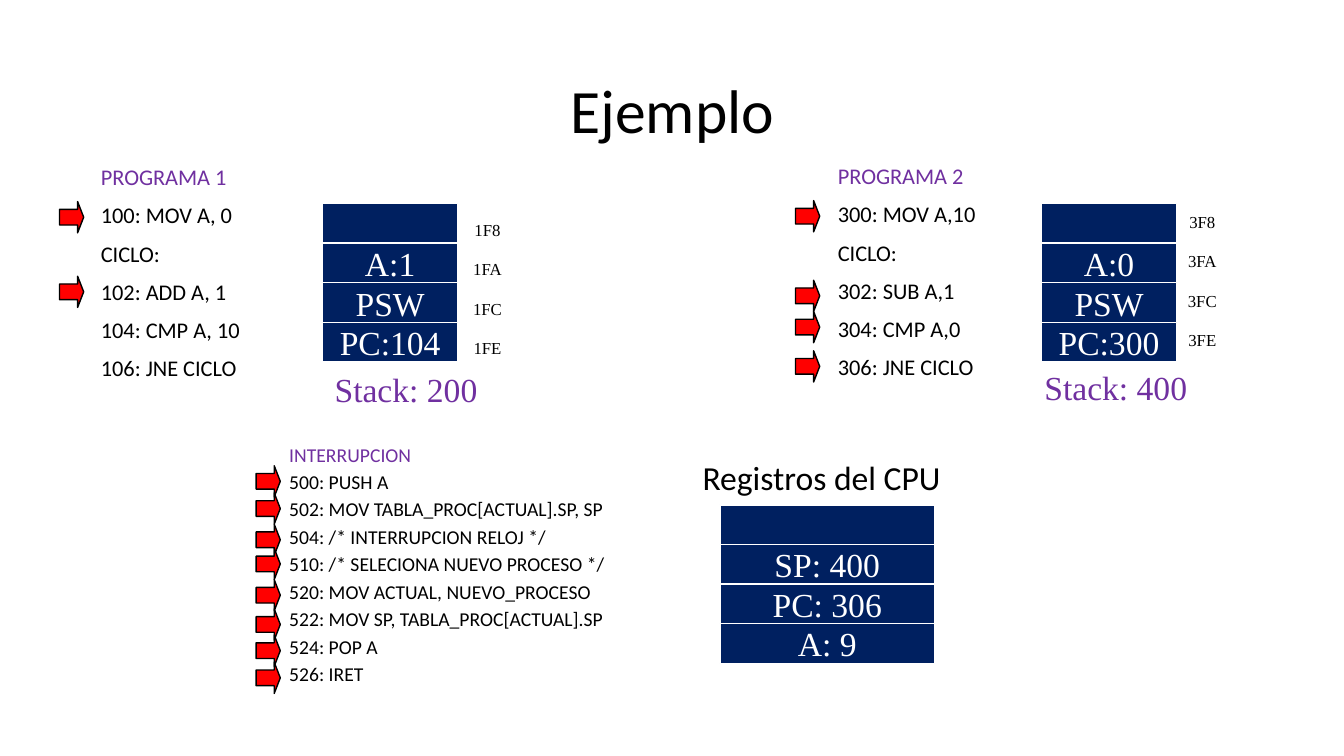
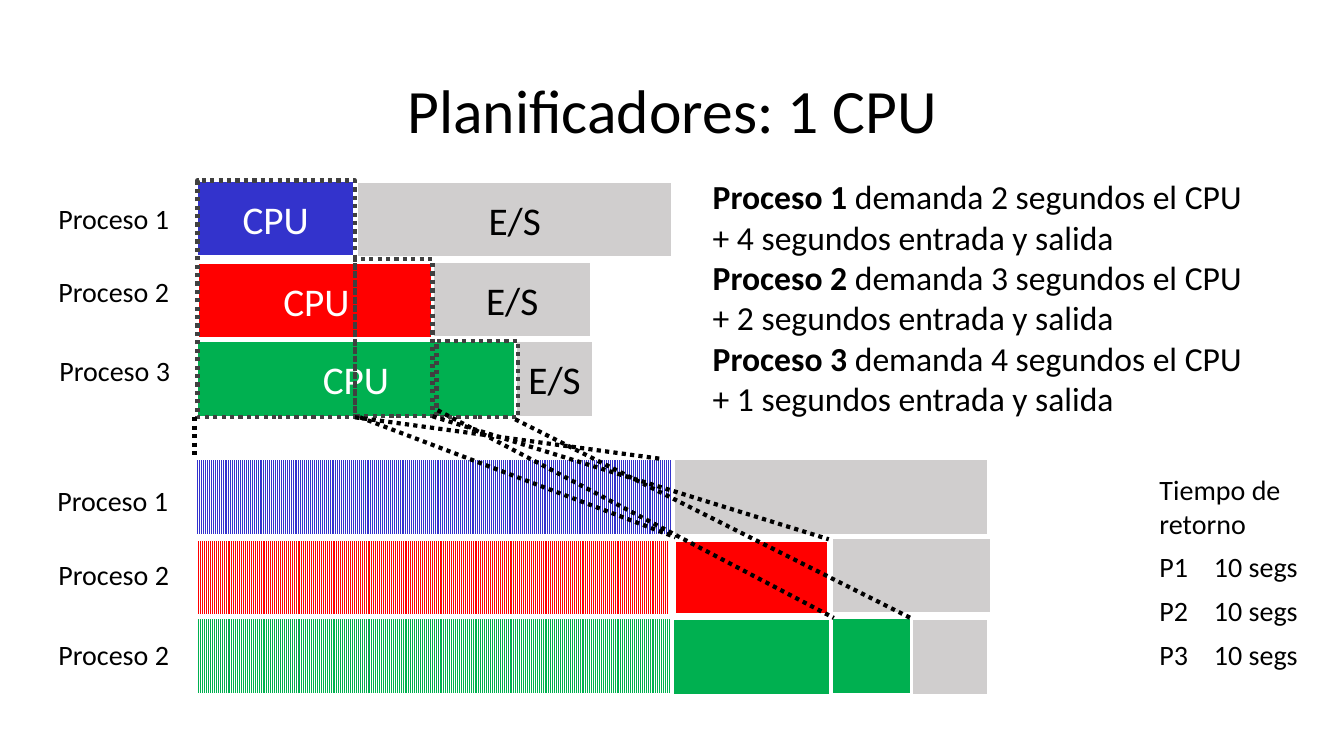
"""Build two slides on interrupt handling and CPU scheduling."""
import pptx
import pptx.util
import pptx.dml.color
import pptx.enum.dml
import pptx.enum.shapes
import pptx.enum.text
import pptx.oxml.ns
import lxml.etree

Inches = pptx.util.Inches
Pt = pptx.util.Pt
ALIGN = pptx.enum.text.PP_ALIGN
ANCHOR = pptx.enum.text.MSO_ANCHOR
SHAPE = pptx.enum.shapes.MSO_SHAPE
PATTERN = pptx.enum.dml.MSO_PATTERN
DOTTED = pptx.enum.dml.MSO_LINE.ROUND_DOT
qn = pptx.oxml.ns.qn

COLORS = {
    "text": "000000", "white": "FFFFFF", "heading": "7030A0", "memory": "002060",
    "red": "FF0000", "blue": "3333CC", "green": "00B050", "gray": "D0CECE",
    "outline": "404040",
}
SANS, SERIF = "Calibri", "Times New Roman"


def rgb(name):
    return pptx.dml.color.RGBColor.from_string(COLORS[name])


def box(x, y, w, h):
    return Inches(x), Inches(y), Inches(w), Inches(h)


class Deck:
    def __init__(self):
        self.prs = pptx.Presentation()
        self.prs.slide_width = Inches(13.33)
        self.prs.slide_height = Inches(7.5)
        self.s = None

    def style(self, p, size, color="text", font=SANS):
        for r in p.runs:
            r.font.size = Pt(size)
            r.font.name = font
            r.font.color.rgb = rgb(color)

    def slide(self, layout, title):
        self.s = self.prs.slides.add_slide(self.prs.slide_layouts[layout])
        sp = self.s.shapes.title
        sp.left, sp.top, sp.width, sp.height = box(0.92, 0.4, 11.5, 1.45)
        tf = sp.text_frame
        tf.text = title
        tf.vertical_anchor = ANCHOR.MIDDLE
        p = tf.paragraphs[0]
        p.alignment = ALIGN.CENTER
        p.line_spacing = 0.9
        self.style(p, 44)

    def listing(self, tf, lines, size, before, spacing, hanging):
        tf.word_wrap = True
        tf.auto_size = pptx.enum.text.MSO_AUTO_SIZE.NONE
        tf.vertical_anchor = ANCHOR.TOP
        tf.text = "\n".join(lines)
        for i, p in enumerate(tf.paragraphs):
            p.space_before = Pt(before)
            p.line_spacing = spacing
            pPr = p._p.get_or_add_pPr()
            pPr.set("marL", str(Inches(hanging)))
            pPr.set("indent", str(-Inches(hanging)))
            lxml.etree.SubElement(pPr, qn("a:buNone"))
            self.style(p, size, "text" if i else "heading")

    def program(self, idx, x, y, w, h, lines):
        sp = self.s.placeholders[idx]
        sp.left, sp.top, sp.width, sp.height = box(x, y, w, h)
        self.listing(sp.text_frame, lines, 16, 10, 0.9, 0.25)

    def routine(self, x, y, w, h, lines):
        sp = self.s.shapes.add_textbox(*box(x, y, w, h))
        self.listing(sp.text_frame, lines, 14, 2.8, 1.0, 0.38)

    def label(self, x, y, w, h, text, size, color="text", font=SANS):
        tf = self.s.shapes.add_textbox(*box(x, y, w, h)).text_frame
        tf.word_wrap = False
        tf.text = text
        for p in tf.paragraphs:
            self.style(p, size, color, font)
        return tf

    def addresses(self, x, y, lines):
        tf = self.label(x, y, 0.49, 1.51, "\n".join(lines), 12, font=SERIF)
        for p in tf.paragraphs:
            p.alignment = ALIGN.CENTER
            p.space_after = Pt(13.8)

    def shape(self, kind, x, y, w, h, fill=None, line="white", width=1, pattern=None):
        sp = self.s.shapes.add_shape(kind, *box(x, y, w, h))
        sp.shadow.inherit = False
        if fill is None:
            sp.fill.background()
        elif pattern is None:
            sp.fill.solid()
            sp.fill.fore_color.rgb = rgb(fill)
        else:
            sp.fill.patterned()
            sp.fill.pattern = pattern
            sp.fill.fore_color.rgb = rgb(fill)
            sp.fill.back_color.rgb = rgb("white")
        sp.line.color.rgb = rgb(line)
        sp.line.width = Pt(width)
        return sp

    def caption(self, sp, text, size, color, font=SANS, wrap=True):
        tf = sp.text_frame
        tf.word_wrap = wrap
        tf.vertical_anchor = ANCHOR.MIDDLE
        tf.text = text
        tf.paragraphs[0].alignment = ALIGN.CENTER
        self.style(tf.paragraphs[0], size, color, font)

    def memory(self, x, y, w, cells):
        height = 1.57
        row = height / 4
        self.shape(SHAPE.RECTANGLE, x, y, w, height, "memory")
        for i, text in enumerate(cells, 1):
            sp = self.shape(SHAPE.RECTANGLE, x, y + i * row, w, row, "memory")
            self.caption(sp, text, 24, "white", SERIF, wrap=False)

    def arrows(self, x, tops):
        for y in tops:
            sp = self.shape(SHAPE.RIGHT_ARROW, x, y, 0.24, 0.31, "red", "text")
            sp.adjustments[0] = 0.5
            sp.adjustments[1] = 0.25

    def bar(self, x, y, w, fill, text="", pattern=None, width=2.25):
        sp = self.shape(SHAPE.RECTANGLE, x, y, w, 0.76, fill, "white", width, pattern)
        if text:
            self.caption(sp, text, 28, "text" if fill == "gray" else "white")

    def frame(self, x, y, w, h):
        sp = self.shape(SHAPE.RECTANGLE, x, y, w, h, line="outline", width=3)
        sp.line.dash_style = DOTTED

    def guide(self, x1, y1, x2, y2):
        c = self.s.shapes.add_connector(
            pptx.enum.shapes.MSO_CONNECTOR.STRAIGHT,
            Inches(x1), Inches(y1), Inches(x2), Inches(y2))
        c.line.color.rgb = rgb("text")
        c.line.width = Pt(3)
        c.line.dash_style = DOTTED
        lxml.etree.SubElement(c._element.spPr, qn("a:effectLst"))

    def demands(self, x, y, w, h, items):
        tf = self.s.shapes.add_textbox(*box(x, y, w, h)).text_frame
        tf.word_wrap = True
        tf.text = "\n".join(name for name, _ in items)
        for p, (_, detail) in zip(tf.paragraphs, items):
            p.runs[0].font.bold = True
            p.add_run().text = detail
            self.style(p, 24)

    def table(self, x, y, widths, row_height, header, rows):
        count = len(rows) + 1
        t = self.s.shapes.add_table(
            count, len(widths), *box(x, y, sum(widths), count * row_height)).table
        t.first_row = False
        t.horz_banding = False
        for col, w in zip(t.columns, widths):
            col.width = Inches(w)
        t.cell(0, 0).merge(t.cell(0, len(widths) - 1))
        t.cell(0, 0).text = header
        for i, row in enumerate(rows, 1):
            for j, text in enumerate(row):
                t.cell(i, j).text = text
        for cell in t.iter_cells():
            cell.fill.background()
            self.style(cell.text_frame.paragraphs[0], 20)


def example(d):
    d.slide(3, "Ejemplo")
    d.program(1, 0.9, 1.6, 1.91, 2.3, [
        "PROGRAMA 1", "100: MOV A, 0", "CICLO:", "102: ADD A, 1",
        "104: CMP A, 10", "106: JNE CICLO"])
    d.program(2, 8.21, 1.59, 1.91, 1.96, [
        "PROGRAMA 2", "300: MOV A,10", "CICLO:", "302: SUB A,1",
        "304: CMP A,0", "306: JNE CICLO"])
    d.routine(2.77, 4.34, 4.09, 2.61, [
        "INTERRUPCION", "500: PUSH A", "502: MOV TABLA_PROC[ACTUAL].SP, SP",
        "504: /* INTERRUPCION RELOJ */", "510: /* SELECIONA NUEVO PROCESO */",
        "520: MOV ACTUAL, NUEVO_PROCESO", "522: MOV SP, TABLA_PROC[ACTUAL].SP",
        "524: POP A", "526: IRET"])
    d.memory(3.2, 2.02, 1.34, ["A:1", "PSW", "PC:104"])
    d.memory(10.33, 2.02, 1.34, ["A:0", "PSW", "PC:300"])
    d.memory(7.14, 5.01, 2.13, ["SP: 400", "PC: 306", "A: 9"])
    d.arrows(0.59, [2, 2.74])
    d.arrows(7.89, [1.99, 2.78, 3.09, 3.48])
    d.arrows(2.54, [4.62, 4.89, 5.2, 5.44, 5.75, 6.04, 6.3, 6.57])
    d.label(3.22, 3.61, 1.62, 0.5, "Stack: 200", 24, "heading", SERIF)
    d.label(10.26, 3.59, 1.62, 0.5, "Stack: 400", 24, "heading", SERIF)
    d.label(6.87, 4.48, 2.89, 0.5, "Registros del CPU", 24)
    d.addresses(4.59, 2.13, ["1F8", "1FA", "1FC", "1FE"])
    d.addresses(11.68, 2.05, ["3F8", "3FA", "3FC", "3FE"])


def schedulers(d):
    d.slide(5, "Planificadores: 1 CPU")
    for x, y, number in [(0.48, 1.95, 1), (0.48, 2.67, 2), (0.49, 3.46, 3),
                         (0.47, 4.75, 1), (0.48, 5.48, 2), (0.48, 6.28, 2)]:
        d.label(x, y, 1.31, 0.44, f"Proceso {number}", 20)
    light, dark = PATTERN.LIGHT_VERTICAL, PATTERN.DARK_VERTICAL
    for bar in [
        (1.95, 1.79, 1.57, "blue", "CPU"),
        (1.96, 2.6, 2.36, "red", "CPU"),
        (1.95, 5.35, 4.72, "red", "", light),
        (1.94, 4.55, 4.73, "blue", "", light),
        (3.54, 1.8, 3.13, "gray", "E/S"),
        (4.29, 2.59, 1.58, "gray", "E/S"),
        (1.95, 3.38, 3.16, "green", "CPU"),
        (5.11, 3.38, 0.78, "gray", "E/S"),
        (1.95, 6.13, 4.72, "green", "", light),
        (6.67, 5.35, 1.56, "red", "", dark, 4.5),
        (6.67, 6.14, 1.57, "green", "", dark),
        (6.68, 4.55, 3.13, "gray"),
        (8.25, 5.33, 1.58, "gray"),
        (9.03, 6.14, 0.78, "gray"),
        (8.25, 6.13, 0.79, "green"),
    ]:
        d.bar(*bar)
    for frame in [(1.96, 1.79, 1.56, 2.35), (3.52, 2.57, 0.77, 1.56),
                  (4.33, 3.38, 0.81, 0.76)]:
        d.frame(*frame)
    for guide in [(3.52, 4.14, 6.54, 4.55), (1.93, 4.14, 1.93, 4.55),
                  (4.29, 4.13, 8.22, 5.35), (3.57, 4.14, 6.7, 5.33),
                  (5.11, 4.16, 9.03, 6.13), (4.34, 4.07, 8.27, 6.13)]:
        d.guide(*guide)
    d.demands(6.97, 1.7, 5.45, 2.52, [
        (f"Proceso {n}", f" demanda {cpu} segundos el CPU + {io_time} segundos entrada y salida")
        for n, cpu, io_time in [(1, 2, 4), (2, 3, 2), (3, 4, 1)]])
    d.table(11.4, 4.65, [0.54, 1.26], 0.41, "Tiempo de retorno",
            [(f"P{n}", "10 segs") for n in (1, 2, 3)])


def main():
    d = Deck()
    example(d)
    schedulers(d)
    d.prs.save("out.pptx")


if __name__ == "__main__":
    main()
